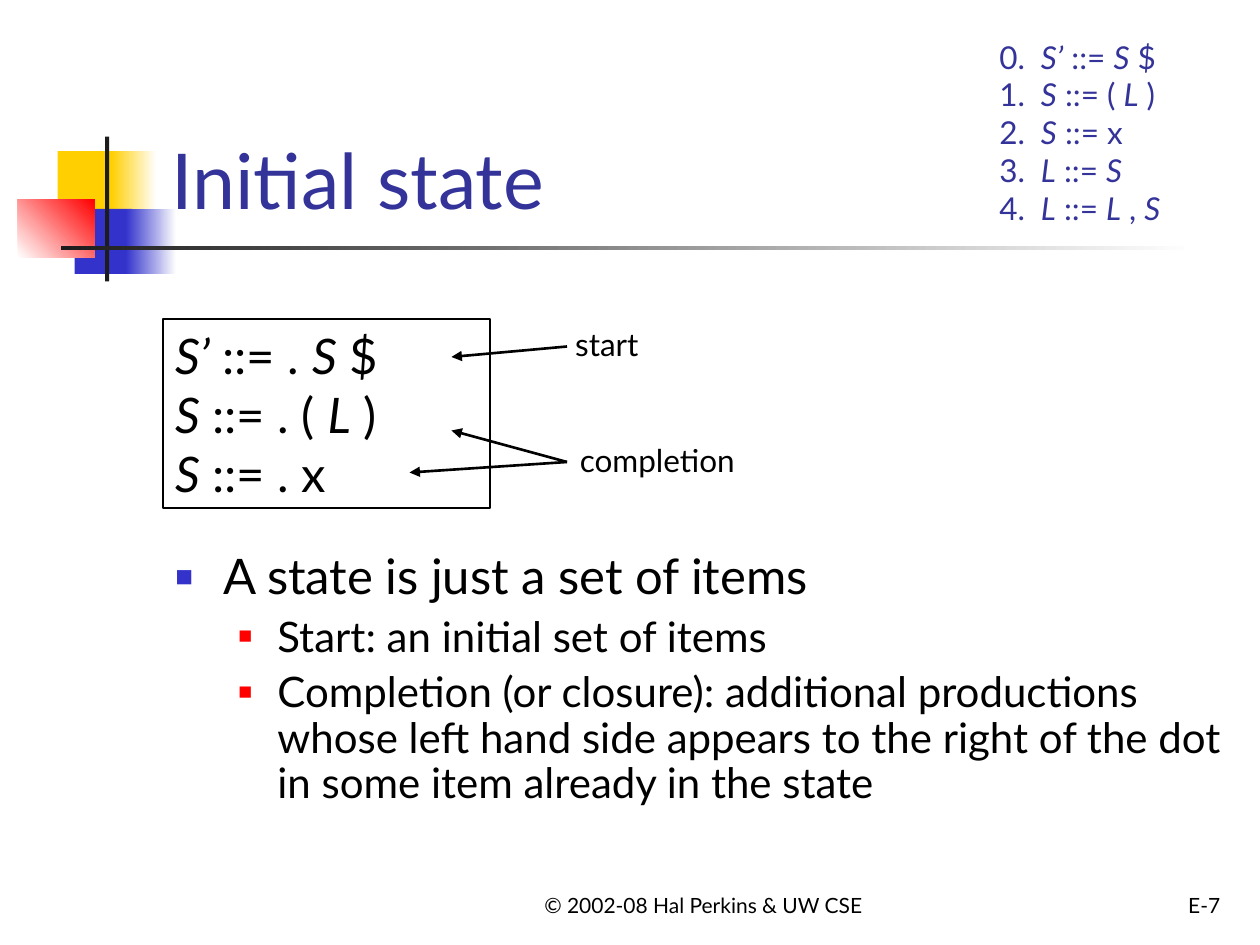
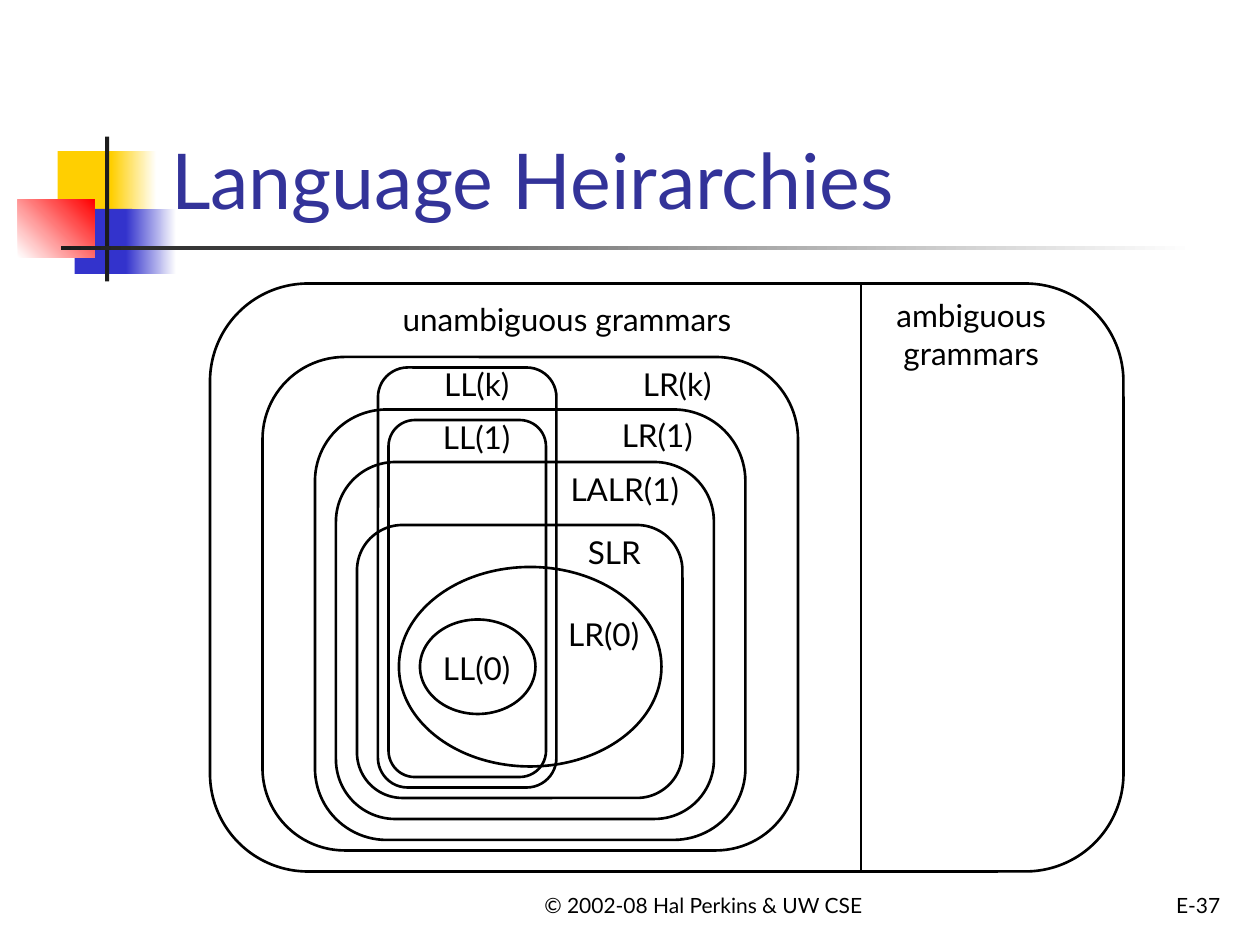
from dataclasses import dataclass

import pptx
import pptx.dml.color
import pptx.enum.shapes
import pptx.enum.text
import pptx.oxml
import pptx.oxml.ns
import pptx.util

SHAPE = pptx.enum.shapes.MSO_SHAPE
ALIGN = pptx.enum.text.PP_ALIGN
ANCHOR = pptx.enum.text.MSO_ANCHOR


@dataclass(frozen=True)
class Theme:
    font: str = "Lato"
    text: str = "000000"
    title: str = "333399"
    yellow: str = "FFCF01"
    blue: str = "3333CC"
    red: str = "FF0000"
    dark: str = "1C1C1C"
    paper: str = "FFFFFF"
    title_size: int = 44
    item_size: int = 28
    subitem_size: int = 24
    label_size: int = 18
    footer_size: int = 12
    outline: float = 1.5


THEME = Theme()
COPYRIGHT = "© 2002-08 Hal Perkins & UW CSE"
CORNER = 1 / 6

# Left, top, width, height in cells; one colour, or two for a gradient; angle.
EMBLEM = [
    ((5.5, 14.4, 5.8, 6.2), [THEME.yellow], 0),
    ((10.6, 14.4, 4.3, 6.2), [THEME.yellow, THEME.paper], 0),
    ((7.1, 19.9, 5.5, 6.2), [THEME.blue], 0),
    ((12, 19.9, 4.8, 6.2), [THEME.blue, THEME.paper], 0),
    ((1.7, 19, 7.3, 5.5), [THEME.paper, THEME.red], 45),
    ((10, 13, 0.4, 13.8), [THEME.dark], 0),
    ((5.8, 23.4, 108, 0.4), [THEME.dark, THEME.paper], 0),
]

# Level, text.
STATE_NOTES = [
    (0, "A state is just a set of items"),
    (1, "Start: an initial set of items"),
    (1, "Completion (or closure): additional productions whose left hand side "
        "appears to the right of the dot in some item already in the state"),
]

# Asterisks enclose italics.
GRAMMAR = ["*S’* ::= *S* $", "*S* ::= ( *L* )", "*S* ::= x", "*L* ::= *S*",
           "*L* ::= *L* , *S*"]
STATE_ITEMS = ["*S’* ::= . *S* $", "*S* ::= . ( *L* )", "*S* ::= . x"]

LANGUAGE_SETS = [
    (SHAPE.ROUNDED_RECTANGLE, (20, 27, 87, 56)),
    (SHAPE.ROUNDED_RECTANGLE, (25, 34, 51, 47)),
    (SHAPE.ROUNDED_RECTANGLE, (30, 39, 41, 41)),
    (SHAPE.ROUNDED_RECTANGLE, (32, 44, 36, 34)),
    (SHAPE.ROUNDED_RECTANGLE, (34, 50, 31, 26)),
    (SHAPE.OVAL, (38, 54, 25, 19)),
    (SHAPE.OVAL, (40, 59, 11, 9)),
    (SHAPE.ROUNDED_RECTANGLE, (37, 40, 15, 34)),
    (SHAPE.ROUNDED_RECTANGLE, (36, 35, 17, 40)),
]

# Text, centre column, top row.
SET_LABELS = [
    ("unambiguous grammars", 54, 28),
    ("ambiguous\ngrammars", 92.5, 27.6),
    ("LR(k)", 64.5, 34.2),
    ("LR(1)", 62.6, 39),
    ("LALR(1)", 59.5, 44.2),
    ("SLR", 58.5, 50.2),
    ("LR(0)", 57.5, 58),
    ("LL(0)", 45.4, 61.2),
    ("LL(1)", 45.4, 39.2),
    ("LL(k)", 45.4, 34.2),
]


def cells(*counts):
    """Lengths on a grid of twelve cells to the inch."""
    return [pptx.util.Inches(count / 12) for count in counts]


def rgb(value):
    return pptx.dml.color.RGBColor.from_string(value)


def format_runs(paragraph, size, color):
    for span in paragraph.runs:
        span.font.name = THEME.font
        span.font.size = pptx.util.Pt(size)
        span.font.color.rgb = rgb(color)


def set_indent(paragraph, margin, hanging):
    properties = paragraph._p.get_or_add_pPr()
    properties.set("marL", str(pptx.util.Inches(margin)))
    properties.set("indent", str(-pptx.util.Inches(hanging)))
    return properties


def add_element(parent, xml):
    tag, rest = xml.split(" ", 1)
    parent.append(pptx.oxml.parse_xml(
        f"<a:{tag} {pptx.oxml.ns.nsdecls('a')} {rest}"))


def set_bullet(paragraph, level):
    margin, hanging, color, percent = [
        (0.38, 0.38, THEME.blue, 60), (0.81, 0.31, THEME.red, 55)][level]
    properties = set_indent(paragraph, margin, hanging)
    add_element(properties, f'buClr ><a:srgbClr val="{color}"/></a:buClr>')
    add_element(properties, f'buSzPct val="{percent * 1000}"/>')
    add_element(properties, 'buChar char="■"/>')


def write_rules(frame, rules, size, color):
    """Write one rule to a paragraph, with the parts between asterisks in italics."""
    for index, rule in enumerate(rules):
        paragraph = frame.paragraphs[0] if index == 0 else frame.add_paragraph()
        paragraph.alignment = ALIGN.LEFT
        for part, words in enumerate(rule.split("*")):
            if words:
                span = paragraph.add_run()
                span.text = words
                span.font.italic = part % 2 == 1
        format_runs(paragraph, size, color)


def add_text(page, area, text, size, align, anchor=ANCHOR.TOP):
    box = page.shapes.add_textbox(*cells(*area))
    frame = box.text_frame
    frame.word_wrap = True
    frame.vertical_anchor = anchor
    frame.text = text
    for paragraph in frame.paragraphs:
        paragraph.alignment = align
        format_runs(paragraph, size, THEME.text)


def add_label(page, text, center, top):
    width = 44
    add_text(page, (center - width / 2, top, width, 4.8 * (text.count("\n") + 1)),
             text, THEME.label_size, ALIGN.CENTER)


def add_outline(page, kind, area, weight=THEME.outline):
    shape = page.shapes.add_shape(kind, *cells(*area))
    shape.shadow.inherit = False
    shape.fill.background()
    shape.line.color.rgb = rgb(THEME.text)
    shape.line.width = pptx.util.Pt(weight)
    if kind == SHAPE.ROUNDED_RECTANGLE:
        shape.adjustments[0] = CORNER
    return shape


def add_line(page, start, end, arrow=False):
    line = page.shapes.add_connector(
        pptx.enum.shapes.MSO_CONNECTOR.STRAIGHT, *cells(*start, *end))
    line.line.color.rgb = rgb(THEME.text)
    line.line.width = pptx.util.Pt(THEME.outline)
    if arrow:
        add_element(line.line._get_or_add_ln(), 'tailEnd type="triangle"/>')
    add_element(line._element.spPr, "effectLst />")


def add_emblem(page):
    for area, colors, angle in EMBLEM:
        block = page.shapes.add_shape(SHAPE.RECTANGLE, *cells(*area))
        block.shadow.inherit = False
        block.line.fill.background()
        if len(colors) == 1:
            block.fill.solid()
            block.fill.fore_color.rgb = rgb(colors[0])
        else:
            block.fill.gradient()
            block.fill.gradient_angle = angle
            for stop, color in zip(block.fill.gradient_stops, colors):
                stop.color.rgb = rgb(color)


def place(box, area):
    box.left, box.top, box.width, box.height = cells(*area)
    box.text_frame.auto_size = pptx.enum.text.MSO_AUTO_SIZE.NONE
    box.text_frame.word_wrap = True


def add_page(deck, layout, title, number):
    """Add a slide with the shared emblem, title and footer."""
    page = deck.slides.add_slide(deck.slide_layouts[layout])
    add_emblem(page)
    heading = page.shapes.title
    place(heading, (15.1, 2.8, 102.2, 19.2))
    heading.text_frame.vertical_anchor = ANCHOR.BOTTOM
    heading.text_frame.text = title
    paragraph = heading.text_frame.paragraphs[0]
    paragraph.alignment = ALIGN.LEFT
    format_runs(paragraph, THEME.title_size, THEME.title)
    heading.element.getparent().append(heading.element)
    add_text(page, (48, 82, 38, 6), COPYRIGHT, THEME.footer_size,
             ALIGN.CENTER, ANCHOR.BOTTOM)
    add_text(page, (92.4, 82, 25, 6), number, THEME.footer_size,
             ALIGN.RIGHT, ANCHOR.BOTTOM)
    return page


def add_notes_list(page):
    body = page.placeholders[1]
    place(body, (15.5, 52, 102.2, 28.5))
    frame = body.text_frame
    frame.vertical_anchor = ANCHOR.TOP
    frame.text = "\n".join(text for _, text in STATE_NOTES)
    for index, (level, _) in enumerate(STATE_NOTES):
        paragraph = frame.paragraphs[index]
        paragraph.level = level
        paragraph.line_spacing = 0.9
        paragraph.space_before = pptx.util.Pt(6 if index else 0)
        set_bullet(paragraph, level)
        format_runs(paragraph, [THEME.item_size, THEME.subitem_size][level],
                    THEME.text)


def add_grammar(page):
    box = page.shapes.add_textbox(*cells(94, 3, 22, 19.2))
    box.text_frame.word_wrap = True
    rules = [f"{index}.\t{rule}" for index, rule in enumerate(GRAMMAR)]
    write_rules(box.text_frame, rules, THEME.label_size, THEME.title)
    for paragraph in box.text_frame.paragraphs:
        properties = set_indent(paragraph, 0.33, 0.33)
        stop = pptx.util.Inches(0.33)
        add_element(properties, f'tabLst ><a:tab pos="{stop}" algn="l"/></a:tabLst>')


def add_state_items(page):
    box = add_outline(page, SHAPE.RECTANGLE, (15.5, 30.4, 31.2, 18), weight=1)
    box.text_frame.vertical_anchor = ANCHOR.TOP
    write_rules(box.text_frame, STATE_ITEMS, THEME.item_size, THEME.text)


def build_initial_state(deck):
    page = add_page(deck, 1, "Initial state", "E-7")
    add_notes_list(page)
    add_state_items(page)
    add_label(page, "start", 57.8, 30.4)
    add_label(page, "completion", 62.6, 41.4)
    for start, end in [((54, 33), (43, 34)), ((54, 44), (43, 41)),
                       ((54, 44), (39, 45))]:
        add_line(page, start, end, arrow=True)
    add_grammar(page)


def build_hierarchies(deck):
    page = add_page(deck, 5, "Language Heirarchies", "E-37")
    for kind, area in LANGUAGE_SETS:
        add_outline(page, kind, area)
    add_line(page, (82, 27), (82, 83))
    for text, center, top in SET_LABELS:
        add_label(page, text, center, top)


def main():
    deck = pptx.Presentation()
    deck.slide_width, deck.slide_height = cells(120, 90)
    build_initial_state(deck)
    build_hierarchies(deck)
    deck.save("out.pptx")


if __name__ == "__main__":
    main()
